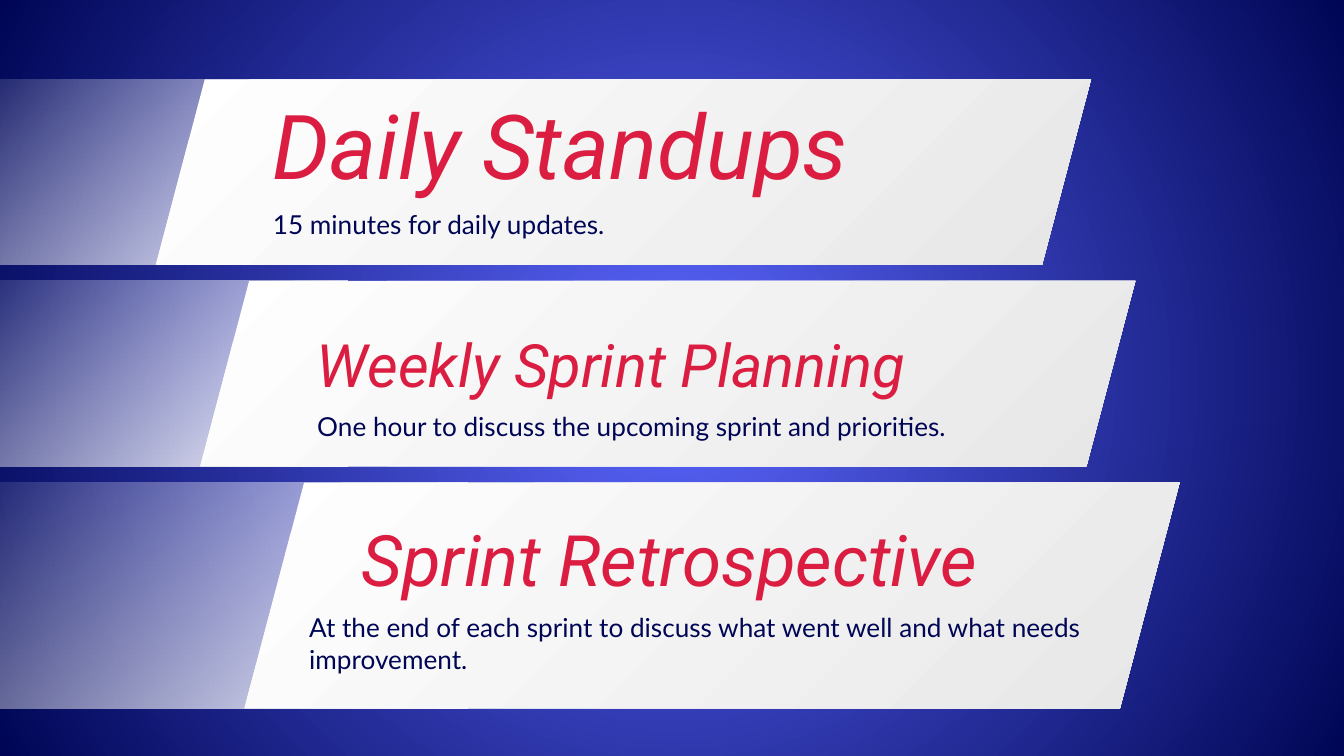
from dataclasses import dataclass

from lxml import etree
from pptx import Presentation
from pptx.dml.color import RGBColor
from pptx.enum import shapes, text
from pptx.oxml import ns, parse_xml
from pptx.util import Pt


@dataclass(frozen=True)
class Theme:
    heading: str = "DA1D40"
    body: str = "000655"
    heading_font: str = "Roboto"
    body_font: str = "Lato"
    body_size: int = 14
    background: tuple = ((0, "5C67FF", 100), (100, "000655", 100))
    veil: tuple = ((0, "FFFFFF", 0), (100, "FFFFFF", 100))
    panel: tuple = ((0, "FFFFFF", 100), (100, "E7E7E7", 100))


theme = Theme()
DIAGONAL = '<a:lin ang="2700000" scaled="0"/>'
RADIAL = ('<a:path path="circle"><a:fillToRect l="50000" t="50000" '
          'r="50000" b="50000"/></a:path>')


def set_gradient(fill, element, stops, direction):
    """Fill with (position %, colour, opacity %) stops."""
    fill.gradient()
    old = element.find(".//" + ns.qn("a:gradFill"))
    gs = "".join(
        f'<a:gs pos="{pos * 1000}"><a:srgbClr val="{color}">'
        f'<a:alpha val="{opacity * 1000}"/></a:srgbClr></a:gs>'
        for pos, color, opacity in stops)
    new = parse_xml(f'<a:gradFill {ns.nsdecls("a")} rotWithShape="1">'
                    f'<a:gsLst>{gs}</a:gsLst>{direction}</a:gradFill>')
    old.getparent().replace(old, new)


def write_text(sp, box, words, font, size, color, anchor, italic=False):
    sp.left, sp.top, sp.width, sp.height = (Pt(v) for v in box)
    tf = sp.text_frame
    tf.word_wrap = True
    tf.auto_size = text.MSO_AUTO_SIZE.NONE
    tf.vertical_anchor = anchor
    tf.margin_left = tf.margin_right = tf.margin_top = tf.margin_bottom = Pt(7.2)
    p = tf.paragraphs[0]
    p.alignment = text.PP_ALIGN.LEFT
    p.space_before = Pt(0)
    pPr = p._p.get_or_add_pPr()
    pPr.set("marL", "0")
    pPr.set("indent", "0")
    etree.SubElement(pPr, ns.qn("a:buNone"))
    r = p.add_run()
    r.text = words
    r.font.name, r.font.size = font, Pt(size)
    r.font.bold, r.font.italic = False, italic
    r.font.color.rgb = RGBColor.from_string(color)


prs = Presentation()
prs.slide_width, prs.slide_height = Pt(720), Pt(405)
s = prs.slides.add_slide(prs.slide_layouts.get_by_name("Comparison"))
set_gradient(s.background.fill, s._element, theme.background, RADIAL)

title, *details, spare = s.placeholders
spare._element.getparent().remove(spare._element)

# heading, heading size, detail, band height, veil width, detail left, detail width
meetings = [
    ("Daily Standups", 48, "15 minutes for daily updates.",
     99.4, 236.9, 139, 388.8),
    ("Weekly Sprint Planning", 32,
     "One hour to discuss the upcoming sprint and priorities.",
     99.4, 231.8, 162.75, 388.8),
    ("Sprint Retrospective", 38,
     "At the end of each sprint to discuss what went well and what needs improvement.",
     121, 295.9, 158.4, 445),
]
ROW_STEP, SHIFT = 108, 23.75

for i, (heading, size, detail, height, veil_w, detail_x, detail_w) in enumerate(meetings):
    dx, dy = i * SHIFT, i * ROW_STEP
    bands = [
        (shapes.MSO_SHAPE.RECTANGLE, -45.4, veil_w, theme.veil),
        (shapes.MSO_SHAPE.PARALLELOGRAM, 83.5 + dx, 501, theme.panel),
    ]
    for kind, left, width, stops in bands:
        sp = s.shapes.add_shape(kind, Pt(left), Pt(42.5 + dy), Pt(width), Pt(height))
        sp.shadow.inherit = False
        sp.line.fill.background()
        set_gradient(sp.fill, sp._element, stops, DIAGONAL)
    sp.adjustments[0] = 0.264

    # Text placeholders go in front of the bands
    if i == 0:
        head = title
        s.shapes._spTree.append(head._element)
    else:
        head = s.shapes.add_textbox(0, 0, 0, 0)
    write_text(head, (139 + dx, 47.5 + dy, 388.8, 65.5), heading,
               theme.heading_font, size, theme.heading,
               text.MSO_ANCHOR.BOTTOM, italic=True)
    s.shapes._spTree.append(details[i]._element)
    write_text(details[i], (detail_x, 104.5 + dy, detail_w, 35.3), detail,
               theme.body_font, theme.body_size, theme.body, text.MSO_ANCHOR.TOP)

prs.save("out.pptx")
